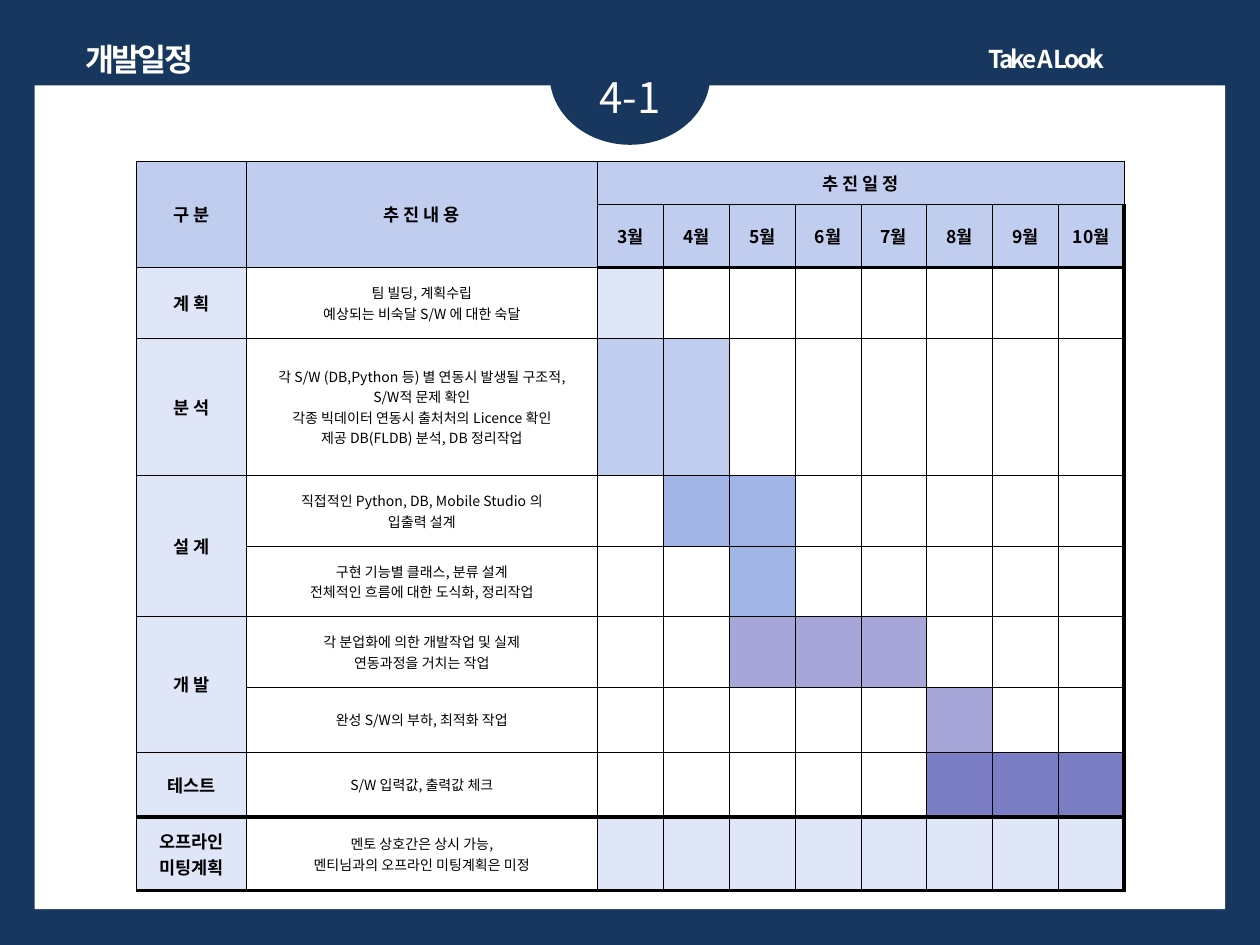
from lxml.etree import SubElement
from pptx import Presentation
from pptx.dml.color import RGBColor
from pptx.enum.shapes import MSO_SHAPE as Shape
from pptx.enum.text import MSO_ANCHOR as Anchor, MSO_AUTO_SIZE as AutoSize, PP_ALIGN as Align
from pptx.oxml.ns import qn
from pptx.util import Cm, Pt

FONT = "Noto Sans CJK KR"
NAVY, WHITE, BLACK = "17375E", "FFFFFF", "000000"
HEADER, PALE, BLUE, LILAC, VIOLET = "C0CDEF", "DFE6F7", "A0B4E6", "A6A7D8", "7A7CC4"
THIN, THICK, OUTER = 0.33, 2.37, 2.04

MONTHS = [f"{month}월" for month in range(3, 11)]
FIRST_MONTH = 3
TASK_COLUMNS = 2
HEADER_ROWS = 2
COLUMN_WIDTHS = [2.21, 7.09] + [10.61 / len(MONTHS)] * len(MONTHS)
ROW_HEIGHTS = [0.87, 1.26, 1.42, 1.39, 1.39, 1.42, 1.42, 1.42, 1.31, 1.31, 1.49]

# Phase, task lines, first and last month, bar colour
TASKS = [
    ("계 획", ["팀 빌딩, 계획수립", "예상되는 비숙달 S/W 에 대한 숙달"], 3, 3, PALE),
    ("분 석", ["각 S/W (DB,Python 등) 별 연동시 발생될 구조적,", "S/W적 문제 확인",
             "각종 빅데이터 연동시 출처처의 Licence 확인",
             "제공 DB(FLDB) 분석, DB 정리작업"], 3, 4, HEADER),
    ("", [], 3, 4, HEADER),
    ("설 계", ["직접적인 Python, DB, Mobile Studio 의", "입출력 설계"], 4, 5, BLUE),
    ("", ["구현 기능별 클래스, 분류 설계", "전체적인 흐름에 대한 도식화, 정리작업"], 5, 5, BLUE),
    ("개 발", ["각 분업화에 의한 개발작업 및 실제", "연동과정을 거치는 작업"], 5, 7, LILAC),
    ("", ["완성 S/W의 부하, 최적화 작업"], 8, 8, LILAC),
    ("테스트", ["S/W 입력값, 출력값 체크"], 8, 10, VIOLET),
    ("오프라인\n미팅계획", ["멘토 상호간은 상시 가능,", "멘티님과의 오프라인 미팅계획은 미정"], 3, 10, PALE),
]
# First row, first column, last row, last column
MERGES = [(0, 0, 1, 0), (0, 1, 1, 1), (0, 2, 0, 9), (3, 0, 4, 0), (3, 1, 4, 1),
          (5, 0, 6, 0), (7, 0, 8, 0)]


def color(value):
    return RGBColor.from_string(value)


def add_run(paragraph, text, size, text_color, bold=False, spacing=0):
    paragraph.alignment = Align.CENTER
    run = paragraph.add_run()
    run.text = text
    run.font.size = Pt(size)
    run.font.bold = bold
    run.font.name = FONT
    run.font.color.rgb = color(text_color)
    properties = run.font._element
    SubElement(properties, qn("a:ea")).set("typeface", FONT)
    if spacing:
        properties.set("spc", str(int(spacing * 100)))


def add_shape(slide, kind, left, top, width, height, fill):
    shape = slide.shapes.add_shape(kind, Cm(left), Cm(top), Cm(width), Cm(height))
    shape.shadow.inherit = False
    shape.fill.solid()
    shape.fill.fore_color.rgb = color(fill)
    shape.line.fill.background()


def add_label(slide, text, left, top, width, height, size, bold=False, spacing=0):
    frame = slide.shapes.add_textbox(Cm(left), Cm(top), Cm(width), Cm(height)).text_frame
    frame.word_wrap = True
    frame.auto_size = AutoSize.SHAPE_TO_FIT_TEXT
    add_run(frame.paragraphs[0], text, size, WHITE, bold, spacing)


def horizontal_width(edge, column):
    """Width of the line above the row numbered edge; 0 means no line."""
    if edge == 4:
        return 0
    if edge == len(ROW_HEIGHTS):
        return OUTER
    thick = edge == 10 or (edge == HEADER_ROWS and column >= TASK_COLUMNS)
    return THICK if thick else THIN


def vertical_width(edge, row):
    """Width of the line left of the column numbered edge."""
    return OUTER if edge == len(COLUMN_WIDTHS) and row > 0 else THIN


def set_borders(cell, row, column):
    properties = cell._tc.get_or_add_tcPr()
    widths = {"L": vertical_width(column, row), "R": vertical_width(column + 1, row),
              "T": horizontal_width(row, column), "B": horizontal_width(row + 1, column)}
    for side, width in widths.items():
        line = SubElement(properties, qn(f"a:ln{side}"), w=str(Pt(width)))
        if width:
            fill = SubElement(line, qn("a:solidFill"))
            SubElement(fill, qn("a:srgbClr"), val=BLACK)
        else:
            SubElement(line, qn("a:noFill"))


def fill_cell(cell, lines, fill, size, bold):
    cell.vertical_anchor = Anchor.MIDDLE
    if fill:
        cell.fill.solid()
        cell.fill.fore_color.rgb = color(fill)
    else:
        cell.fill.background()
    frame = cell.text_frame
    for index, text in enumerate(lines):
        paragraph = frame.add_paragraph() if index else frame.paragraphs[0]
        add_run(paragraph, text, size, BLACK, bold)
    if not lines:
        SubElement(frame.paragraphs[0]._p, qn("a:endParaRPr"), sz=str(size * 100))


def schedule_rows():
    """Yield each table row as a list of (lines, fill, size, bold)."""
    def header(text):
        return ([text] if text else [], HEADER, 10, True)

    titles = ["구 분", "추 진 내 용", "추 진 일 정"]
    yield [header(text) for text in titles + [""] * (len(MONTHS) - 1)]
    yield [header(text) for text in ["", ""] + MONTHS]
    for phase, lines, start, end, bar in TASKS:
        months = range(FIRST_MONTH, FIRST_MONTH + len(MONTHS))
        yield [(phase.splitlines(), PALE, 10, True), (lines, None, 8, False)] + [
            ([], bar if start <= month <= end else None, 8, False) for month in months]


def add_schedule(slide, left, top):
    table = slide.shapes.add_table(
        len(ROW_HEIGHTS), len(COLUMN_WIDTHS), Cm(left), Cm(top),
        Cm(sum(COLUMN_WIDTHS)), Cm(sum(ROW_HEIGHTS))).table
    table.first_row = table.horz_banding = False
    for column, width in zip(table.columns, COLUMN_WIDTHS):
        column.width = Cm(width)
    for row, height in zip(table.rows, ROW_HEIGHTS):
        row.height = Cm(height)
    for row, contents in enumerate(schedule_rows()):
        for column, content in enumerate(contents):
            cell = table.cell(row, column)
            set_borders(cell, row, column)
            fill_cell(cell, *content)
    for top_row, left_column, bottom_row, right_column in MERGES:
        table.cell(top_row, left_column).merge(table.cell(bottom_row, right_column))


def main():
    presentation = Presentation()
    presentation.slide_width, presentation.slide_height = Cm(25.4), Cm(19.05)
    slide = presentation.slides.add_slide(presentation.slide_layouts[6])
    slide.background.fill.solid()
    slide.background.fill.fore_color.rgb = color(NAVY)

    add_shape(slide, Shape.RECTANGLE, 0.7, 1.72, 24, 16.61, WHITE)
    add_schedule(slide, 2.75, 3.25)
    add_label(slide, "Take A Look", 17.5, 0.76, 7.19, 0.86, 14, True, -1.5)
    add_label(slide, "개발일정", 0.7, 0.68, 4.22, 1.02, 18, True, -1.5)
    add_shape(slide, Shape.OVAL, 11.08, 0.1, 3.24, 2.82, NAVY)
    add_label(slide, "4-1", 11.2, 1.32, 3, 1.27, 24)
    presentation.save("out.pptx")


if __name__ == "__main__":
    main()
